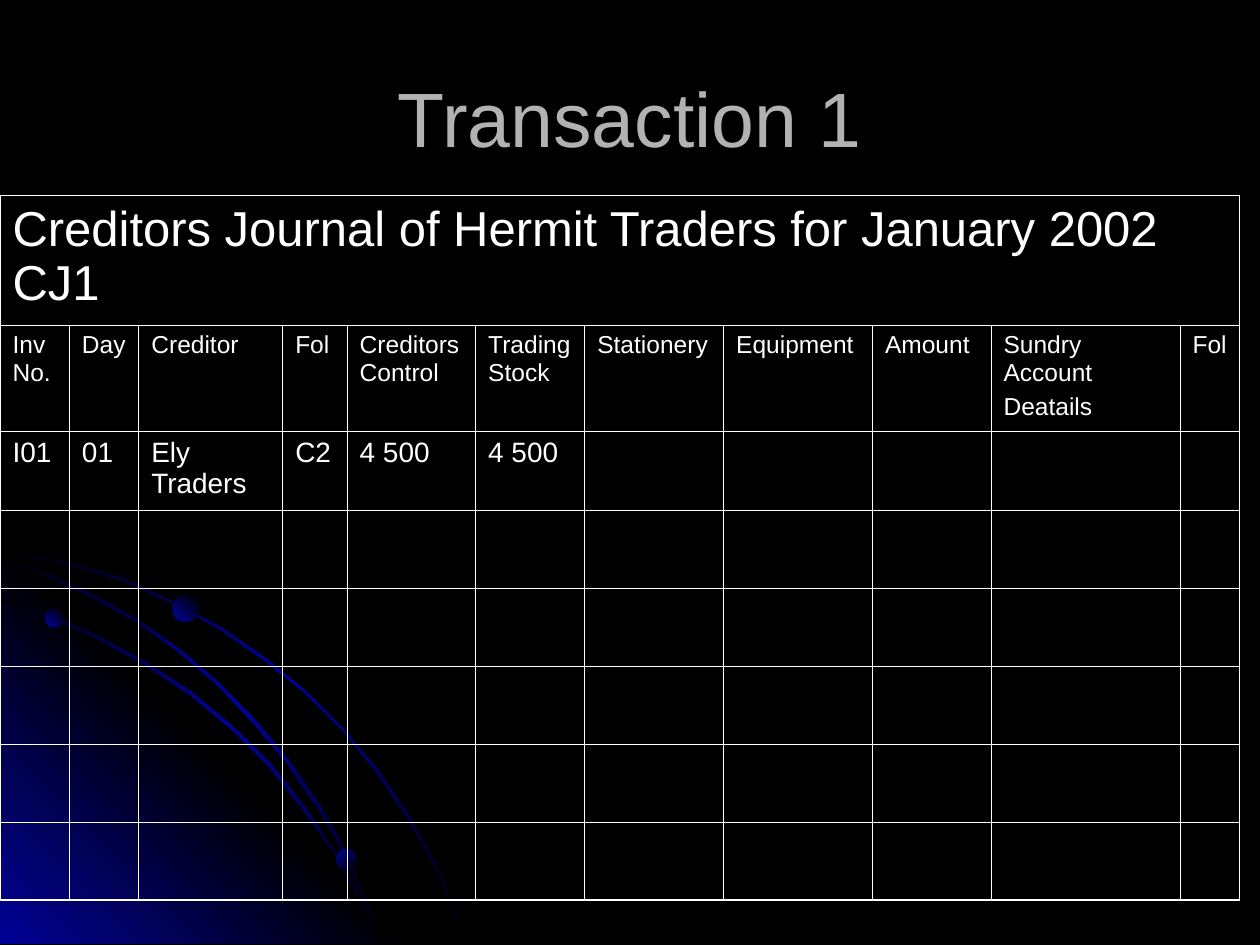
from lxml.etree import SubElement
from pptx import Presentation
from pptx.dml.color import RGBColor
from pptx.enum.shapes import MSO_SHAPE
from pptx.enum.text import MSO_ANCHOR as ANCHOR, PP_ALIGN as ALIGN
from pptx.oxml.ns import qn
from pptx.util import Cm, Pt

BLACK = RGBColor(0x00, 0x00, 0x00)
BLUE = RGBColor(0x01, 0x01, 0x99)
WHITE = RGBColor(0xFF, 0xFF, 0xFF)
GREY = RGBColor(0xB2, 0xB2, 0xB2)

UNIT = Cm(0.0254)
ARC_STOPS = [(0, BLACK), (50, BLUE), (100, BLACK)]
GLOW_STOPS = [(0, BLUE), (50, BLACK), (100, BLUE)]
BALL_STOPS = [(0, BLACK), (100, BLUE)]

OUTER_ARC = [
    (57, 447), (28, 441), (0, 435), (0, 438), (28, 443), (56, 449), (97, 461),
    (135, 478), (173, 499), (208, 523), (241, 549), (271, 579), (298, 612),
    (323, 649), (337, 673), (350, 698), (360, 723), (370, 749), (372, 749),
    (362, 723), (352, 698), (339, 673), (325, 648), (300, 611), (272, 578),
    (242, 548), (209, 521), (174, 497), (136, 477), (98, 459)]
CORNER = [(322, 749), (0, 749), (0, 427)]
INNER_ARC = [
    (285, 714), (294, 732), (301, 749), (303, 749), (296, 730), (286, 712),
    (266, 676), (242, 640), (215, 606), (184, 576), (152, 549), (117, 526),
    (79, 505), (41, 488), (0, 475), (0, 477), (39, 490), (77, 507),
    (115, 528), (150, 551), (183, 578), (213, 608), (240, 642), (265, 677)]
MIDDLE_ARC = [
    (0, 442), (0, 444), (36, 457), (74, 475), (109, 494), (142, 518),
    (173, 544), (202, 575), (227, 605), (252, 641), (267, 667), (280, 694),
    (292, 722), (301, 749), (303, 749), (294, 720), (282, 693), (269, 665),
    (254, 639), (229, 603), (204, 573), (175, 543), (144, 516), (111, 493),
    (76, 473), (39, 455)]
SWEEPS = [(OUTER_ARC, ARC_STOPS, 225), (CORNER, GLOW_STOPS, 135),
          (INNER_ARC, ARC_STOPS, 225), (MIDDLE_ARC, ARC_STOPS, 225)]
BALLS = [(0.91, 12.27, 0.38, 135), (6.78, 17.12, 0.41, 225),
         (3.48, 12.01, 0.53, 135)]

COLS = [1.4, 1.4, 2.9, 1.3, 2.59, 2.2, 2.8, 3, 2.39, 3.81, 1.2]
ROWS = [2.62, 2.13, 1.6] + [1.57] * 5
HEADING = ["Creditors Journal of Hermit Traders for January 2002 CJ1"]
LABELS = ["Inv No.", "Day", "Creditor", "Fol", "Creditors Control",
          "Trading Stock", "Stationery", "Equipment", "Amount",
          "Sundry Account\nDeatails", "Fol"]
ENTRY = ["I01", "01", "Ely Traders", "C2", "4 500", "4 500"]


class Deck:
    """Holds the style and the current slide, and adds each kind of element."""

    font = "Arial"
    thin, thick = Pt(0.45), Pt(1.08)

    def __init__(self, prs):
        self.s = prs.slides.add_slide(prs.slide_layouts[5])
        fill = self.s.background.fill
        fill.solid()
        fill.fore_color.rgb = BLACK

    def set_text(self, p, text, size, color):
        p.text = text
        p.font.name = self.font
        p.font.size = Pt(size)
        p.font.color.rgb = color

    def shade(self, sp, stops, angle):
        sp.shadow.inherit = False
        sp.line.fill.background()
        sp.fill.gradient()
        sp.fill.gradient_angle = 360 - angle
        gs_list = next(sp._element.iter(qn("a:gsLst")))
        for gs in list(gs_list):
            gs_list.remove(gs)
        for pos, color in stops:
            gs = SubElement(gs_list, qn("a:gs"), pos=str(pos * 1000))
            SubElement(gs, qn("a:srgbClr"), val=str(color))

    def sweep(self, points, stops, angle):
        builder = self.s.shapes.build_freeform(*points[0], scale=UNIT)
        builder.add_line_segments(points[1:], close=True)
        self.shade(builder.convert_to_shape(), stops, angle)

    def ball(self, left, top, size, angle):
        sp = self.s.shapes.add_shape(
            MSO_SHAPE.OVAL, Cm(left), Cm(top), Cm(size), Cm(size))
        self.shade(sp, BALL_STOPS, angle)

    def title(self, text):
        sp = self.s.shapes.title
        self.s.shapes._spTree.append(sp._element)
        sp.left, sp.top, sp.width, sp.height = map(
            Cm, (1.27, 0.76, 22.86, 3.18))
        tf = sp.text_frame
        tf.vertical_anchor = ANCHOR.MIDDLE
        p = tf.paragraphs[0]
        p.alignment = ALIGN.CENTER
        self.set_text(p, text, 44, GREY)

    def borders(self, cell, edges):
        tc_pr = cell._tc.get_or_add_tcPr()
        for side, is_outer in zip("LRTB", edges):
            width = self.thick if is_outer else self.thin
            ln = SubElement(tc_pr, qn("a:ln" + side), w=str(int(width)))
            fill = SubElement(ln, qn("a:solidFill"))
            SubElement(fill, qn("a:srgbClr"), val=str(WHITE))

    def table(self, left, top, cols, rows):
        frame = self.s.shapes.add_table(
            len(rows), len(cols), Cm(left), Cm(top), Cm(sum(cols)), Cm(sum(rows)))
        table = frame.table
        table.first_row = table.horz_banding = False
        for col, width in zip(table.columns, cols):
            col.width = Cm(width)
        for row, height in zip(table.rows, rows):
            row.height = Cm(height)
        last_row, last_col = len(rows) - 1, len(cols) - 1
        for i in range(len(rows)):
            for j in range(len(cols)):
                cell = table.cell(i, j)
                self.borders(cell, (j == 0, j == last_col, i == 0, i == last_row))
                cell.fill.background()
        table.cell(0, 0).merge(table.cell(0, last_col))
        return table

    def fill_row(self, table, i, texts, size):
        for j, text in enumerate(texts):
            tf = table.cell(i, j).text_frame
            for k, line in enumerate(text.split("\n")):
                p = tf.add_paragraph() if k else tf.paragraphs[0]
                if k:
                    p.space_before = Pt(size / 4)
                self.set_text(p, line, size, WHITE)


def main():
    prs = Presentation()
    prs.slide_width, prs.slide_height = Cm(25.4), Cm(19.05)
    deck = Deck(prs)
    for points, stops, angle in SWEEPS:
        deck.sweep(points, stops, angle)
    for ball in BALLS:
        deck.ball(*ball)
    deck.title("Transaction 1")
    journal = deck.table(0, 3.94, COLS, ROWS)
    for i, (texts, size) in enumerate([(HEADING, 28), (LABELS, 14), (ENTRY, 16)]):
        deck.fill_row(journal, i, texts, size)
    prs.save("out.pptx")


if __name__ == "__main__":
    main()
